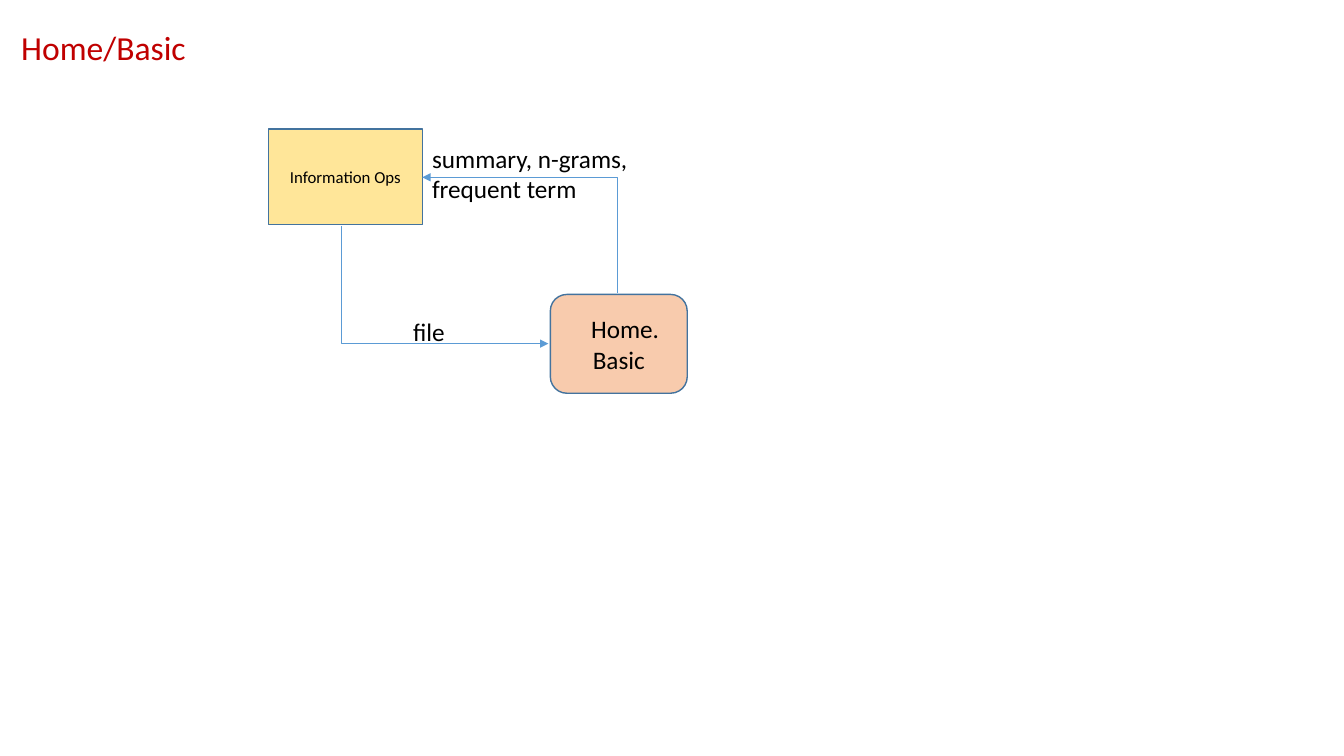
from dataclasses import dataclass

from lxml import etree
from pptx import Presentation
from pptx.dml.color import RGBColor
from pptx.enum import shapes, text
from pptx.oxml import ns
from pptx.util import Cm, Pt

FONT = "Calibri"
BLUE = "5B9BD5"
BORDER = "43739E"


@dataclass
class Box:
    label: str
    left: float
    top: float
    width: float
    height: float
    fill: str
    size: int = 18
    preset: shapes.MSO_SHAPE = shapes.MSO_SHAPE.RECTANGLE
    indent: float = 0


@dataclass
class Label:
    label: str
    left: float
    top: float
    width: float
    height: float


@dataclass
class Arrow:
    x1: float
    y1: float
    x2: float
    y2: float


def rgb(value: str) -> RGBColor:
    return RGBColor.from_string(value)


def write(tf, content: str, *, size: int = 18, color: str = "000000",
          align=text.PP_ALIGN.LEFT, anchor=text.MSO_ANCHOR.TOP,
          indent: float = 0) -> None:
    tf.word_wrap = True
    tf.auto_size = text.MSO_AUTO_SIZE.NONE
    tf.vertical_anchor = anchor
    p = tf.paragraphs[0]
    p.alignment = align
    if indent:
        p._p.get_or_add_pPr().set("indent", str(Cm(indent)))
    r = p.add_run()
    r.text = content
    r.font.name = FONT
    r.font.size = Pt(size)
    r.font.color.rgb = rgb(color)


def draw_box(s, box: Box) -> None:
    sp = s.shapes.add_shape(box.preset, Cm(box.left), Cm(box.top),
                            Cm(box.width), Cm(box.height))
    sp.shadow.inherit = False
    sp.fill.solid()
    sp.fill.fore_color.rgb = rgb(box.fill)
    sp.line.color.rgb = rgb(BORDER)
    sp.line.width = Pt(1)
    write(sp.text_frame, box.label, size=box.size, indent=box.indent,
          align=text.PP_ALIGN.CENTER, anchor=text.MSO_ANCHOR.MIDDLE)


def draw_label(s, label: Label) -> None:
    sp = s.shapes.add_textbox(Cm(label.left), Cm(label.top),
                              Cm(label.width), Cm(label.height))
    write(sp.text_frame, label.label)


def draw_arrow(s, arrow: Arrow) -> None:
    # The quarter turn makes the bend run vertically first, then horizontally.
    cx, cy = (arrow.x1 + arrow.x2) / 2, (arrow.y1 + arrow.y2) / 2
    dx, dy = (arrow.x2 - arrow.x1) / 2, (arrow.y2 - arrow.y1) / 2
    cn = s.shapes.add_connector(shapes.MSO_CONNECTOR.ELBOW,
                                Cm(cx + dy), Cm(cy - dx),
                                Cm(cx - dy), Cm(cy + dx))
    cn.line.color.rgb = rgb(BLUE)
    cn.line.width = Pt(0.5)
    props = cn._element.spPr
    props.find(ns.qn("a:xfrm")).set("rot", str(270 * 60000))
    props.find(ns.qn("a:prstGeom")).set("prst", "bentConnector2")
    etree.SubElement(cn.line._get_or_add_ln(), ns.qn("a:tailEnd"), type="triangle")
    etree.SubElement(props, ns.qn("a:effectLst"))


def main() -> None:
    prs = Presentation()
    prs.slide_width, prs.slide_height = Cm(33.87), Cm(19.05)
    s = prs.slides.add_slide(prs.slide_layouts[5])

    title = s.shapes.title
    title.left, title.top = Cm(0.28), Cm(0.56)
    title.width, title.height = Cm(10.39), Cm(1.27)
    write(title.text_frame, "Home/Basic", size=24, color="C00000")

    boxes = [
        Box("Information Ops", 6.76, 3.25, 3.89, 2.41, "FFE699", size=12),
        Box("Home. Basic", 13.87, 7.42, 3.45, 2.49, "F8CBAD",
            preset=shapes.MSO_SHAPE.ROUNDED_RECTANGLE, indent=0.32),
    ]
    arrows = [
        Arrow(8.61, 5.69, 13.82, 8.66),
        Arrow(15.57, 7.39, 10.64, 4.47),
    ]
    labels = [
        Label("file", 10.16, 7.85, 3.86, 1.02),
        Label("summary, n-grams, frequent term", 10.64, 3.48, 5.79, 1.8),
    ]
    for box in boxes:
        draw_box(s, box)
    for arrow in arrows:
        draw_arrow(s, arrow)
    for label in labels:
        draw_label(s, label)

    prs.save("out.pptx")


if __name__ == "__main__":
    main()
